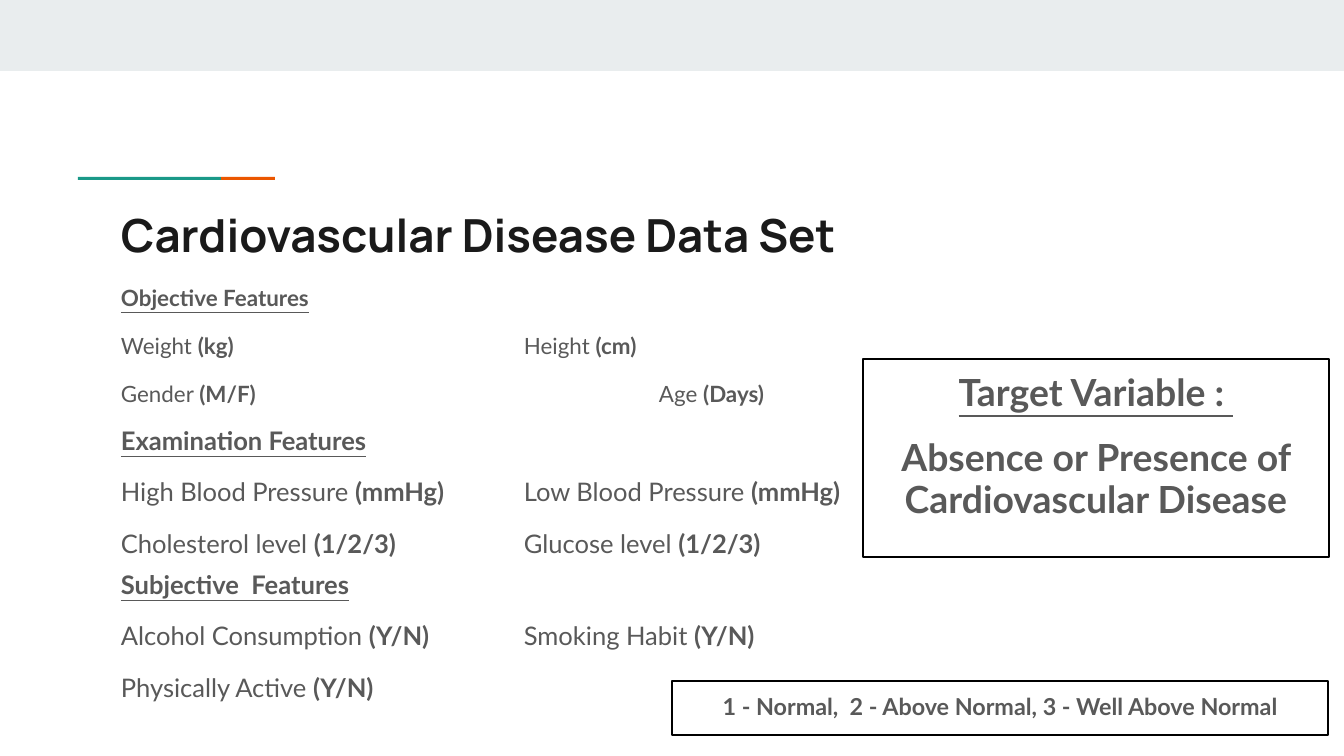
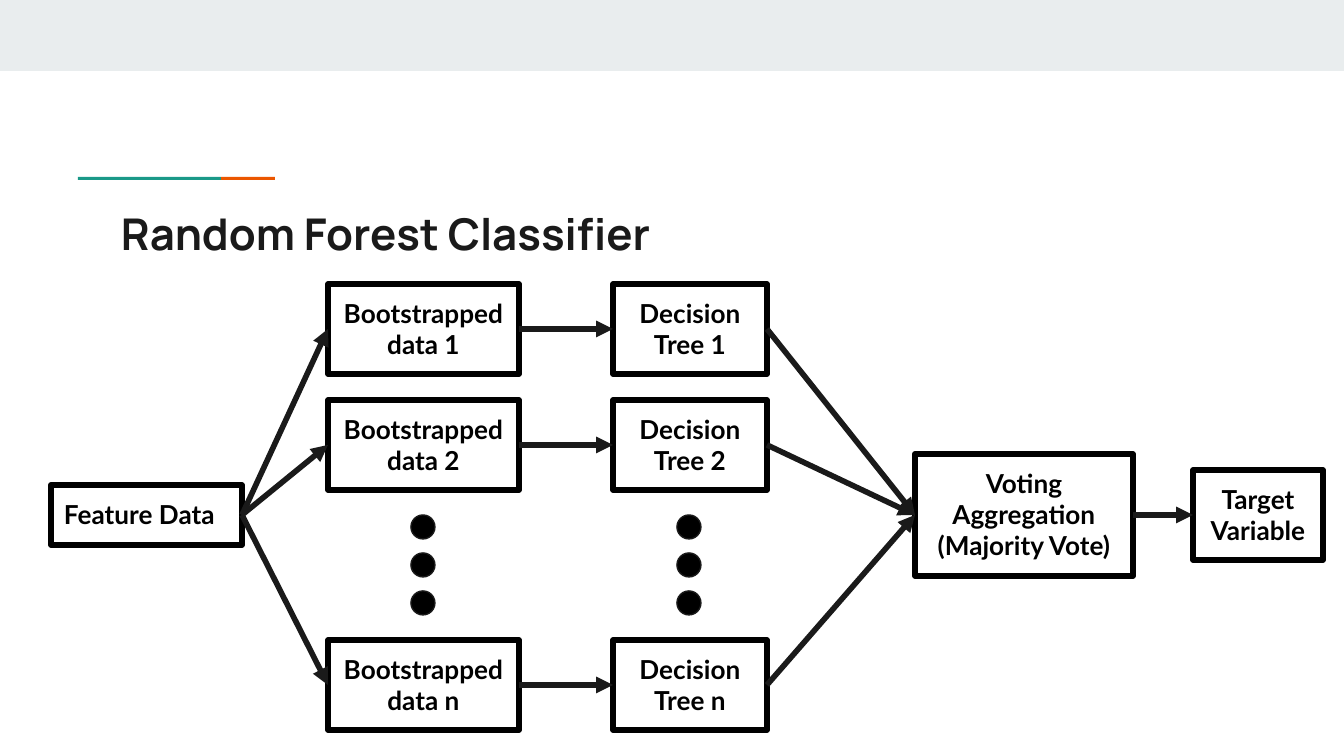
from lxml import etree
from pptx import Presentation
from pptx.dml.color import RGBColor
from pptx.enum.shapes import MSO_CONNECTOR, MSO_SHAPE
from pptx.enum.text import MSO_ANCHOR, PP_ALIGN
from pptx.oxml.ns import qn
from pptx.util import Pt

EMU_PER_PX = 914400 / 134.4
WIDTH, HEIGHT = 1344, 756
INSET = 13
MARGIN = 108

BAND = RGBColor(0xE9, 0xED, 0xEE)
TEAL = RGBColor(0x1A, 0x99, 0x88)
ORANGE = RGBColor(0xEB, 0x56, 0x00)
INK = RGBColor(0x1A, 0x1A, 0x1A)
GREY = RGBColor(0x59, 0x59, 0x59)
BLACK = RGBColor(0x00, 0x00, 0x00)

TITLE_FONT = "Manrope"
BODY_FONT = "Lato"
SECOND_COLUMN = 403
THIRD_COLUMN = 538


def px(length):
    return round(length * EMU_PER_PX)


def heading(text):
    return [(text, True, True)]


def bold(text):
    return [(text, True, False)]


def features(*pairs):
    """Runs for one row of features: plain label, bold unit, tab between pairs."""
    runs = []
    for index, (label, unit) in enumerate(pairs):
        tab = "\t" if index else ""
        runs += [(f"{tab}{label} ", False, False), (f"({unit})", True, False)]
    return runs


class Deck:
    def __init__(self):
        self.presentation = Presentation()
        self.presentation.slide_width = px(WIDTH)
        self.presentation.slide_height = px(HEIGHT)
        self.slide = None

    def add_slide(self, title, title_size):
        """Start a slide with the band, accent line and title."""
        blank = self.presentation.slide_layouts[6]
        self.slide = self.presentation.slides.add_slide(blank)
        self.shape(0, 0, WIDTH, 71, fill=BAND)
        self.shape(78, 177, 143, 3, fill=TEAL)
        self.shape(221, 177, 54, 3, fill=ORANGE)
        self.text(MARGIN, 194, 1130, 79, [bold(title)], title_size,
                  font=TITLE_FONT, color=INK)

    def shape(self, x, y, w, h, kind=MSO_SHAPE.RECTANGLE,
              fill=None, line=None, line_width=0.75):
        shape = self.slide.shapes.add_shape(kind, px(x), px(y), px(w), px(h))
        shape.shadow.inherit = False
        if fill is None:
            shape.fill.background()
        else:
            shape.fill.solid()
            shape.fill.fore_color.rgb = fill
        if line is None:
            shape.line.fill.background()
        else:
            shape.line.color.rgb = line
            shape.line.width = Pt(line_width)
        return shape

    def text(self, x, y, w, h, paragraphs, size, **style):
        box = self.slide.shapes.add_textbox(px(x), px(y), px(w), px(h))
        self.fill_text(box, paragraphs, size, **style)

    def framed_text(self, x, y, w, h, paragraphs, size, line_width=0.75,
                    align=PP_ALIGN.CENTER, **style):
        frame = self.shape(x, y, w, h, line=BLACK, line_width=line_width)
        self.fill_text(frame, paragraphs, size, align=align, **style)
        return frame

    def fill_text(self, holder, paragraphs, size, font=BODY_FONT, color=GREY,
                  align=PP_ALIGN.LEFT, spacing=1.0, gap=0, tabs=()):
        """Fill a shape with paragraphs, each a list of (text, bold, underline)."""
        frame = holder.text_frame
        frame.word_wrap = True
        frame.vertical_anchor = MSO_ANCHOR.TOP
        frame.margin_left = frame.margin_right = px(INSET)
        frame.margin_top = frame.margin_bottom = px(INSET)
        for index, runs in enumerate(paragraphs):
            paragraph = frame.add_paragraph() if index else frame.paragraphs[0]
            paragraph.alignment = align
            paragraph.line_spacing = spacing
            if index and gap:
                paragraph.space_before = Pt(gap)
            if index and tabs:
                self.set_tab(paragraph, tabs[index - 1])
            for content, is_bold, is_underlined in runs:
                run = paragraph.add_run()
                run.text = content
                run.font.name = font
                run.font.size = Pt(size)
                run.font.bold = is_bold
                run.font.underline = is_underlined
                run.font.color.rgb = color

    def set_tab(self, paragraph, position):
        properties = paragraph._p.get_or_add_pPr()
        stops = etree.SubElement(properties, qn("a:tabLst"))
        etree.SubElement(stops, qn("a:tab"), pos=str(px(position)), algn="l")

    def node(self, x, y, w, h, *lines, align=PP_ALIGN.CENTER):
        return self.framed_text(x, y, w, h, [bold(line) for line in lines], 14,
                                line_width=3, align=align, color=BLACK)

    def arrow(self, source, target):
        """Arrow from the right side of source to the left side of target."""
        arrow = self.slide.shapes.add_connector(MSO_CONNECTOR.STRAIGHT, 0, 0, 0, 0)
        arrow.begin_connect(source, 3)
        arrow.end_connect(target, 1)
        arrow.line.color.rgb = INK
        arrow.line.width = Pt(3)
        etree.SubElement(arrow.line._get_or_add_ln(), qn("a:tailEnd"), type="triangle")
        etree.SubElement(arrow._element.spPr, qn("a:effectLst"))

    def dots(self, center, top):
        for index in range(3):
            self.shape(center - 12, top + 38 * index, 24, 24, MSO_SHAPE.OVAL,
                       fill=BLACK, line=INK)


def add_data_set(deck):
    deck.add_slide("Cardiovascular Disease Data Set", 24.4)
    groups = [
        (273, 821, 160, 12, (SECOND_COLUMN, THIRD_COLUMN), [
            heading("Objective Features"),
            features(("Weight", "kg"), ("Height", "cm")),
            features(("Gender", "M/F"), ("Age", "Days"))]),
        (414, 1130, 198, 13.7, (SECOND_COLUMN, SECOND_COLUMN), [
            heading("Examination Features"),
            features(("High Blood Pressure", "mmHg"), ("Low Blood Pressure", "mmHg")),
            features(("Cholesterol level", "1/2/3"), ("Glucose level", "1/2/3"))]),
        (558, 821, 198, 13.7, (SECOND_COLUMN, SECOND_COLUMN), [
            heading("Subjective  Features"),
            features(("Alcohol Consumption", "Y/N"), ("Smoking Habit", "Y/N")),
            features(("Physically Active", "Y/N"))]),
    ]
    for top, width, height, size, tabs, rows in groups:
        deck.text(MARGIN, top, width, height, rows, size,
                  spacing=0.95, gap=12, tabs=tabs)
    deck.framed_text(863, 359, 466, 198, [
        heading("Target Variable : "),
        bold("Absence or Presence of Cardiovascular Disease")],
        20, spacing=0.95, gap=12)
    deck.framed_text(672, 681, 656, 54, [
        bold("1 - Normal,  2 - Above Normal, 3 - Well Above Normal")],
        12.5, spacing=0.95)


def add_random_forest(deck):
    deck.add_slide("Random Forest Classifier", 23.4)
    feature_data = deck.node(51, 485, 191, 60, "Feature Data", align=PP_ALIGN.LEFT)
    voting = deck.node(915, 454, 218, 122, "Voting Aggregation", "(Majority Vote)")
    target = deck.node(1193, 470, 130, 90, "Target Variable")
    for label, top in (("1", 284), ("2", 400), ("n", 640)):
        sample = deck.node(328, top, 191, 90, f"Bootstrapped data {label}")
        tree = deck.node(613, top, 154, 90, f"Decision Tree {label}")
        deck.arrow(feature_data, sample)
        deck.arrow(sample, tree)
        deck.arrow(tree, voting)
    deck.arrow(voting, target)
    for column_center in (423, 689):
        deck.dots(column_center, 515)


def main():
    deck = Deck()
    add_data_set(deck)
    add_random_forest(deck)
    deck.presentation.save("out.pptx")


if __name__ == "__main__":
    main()
